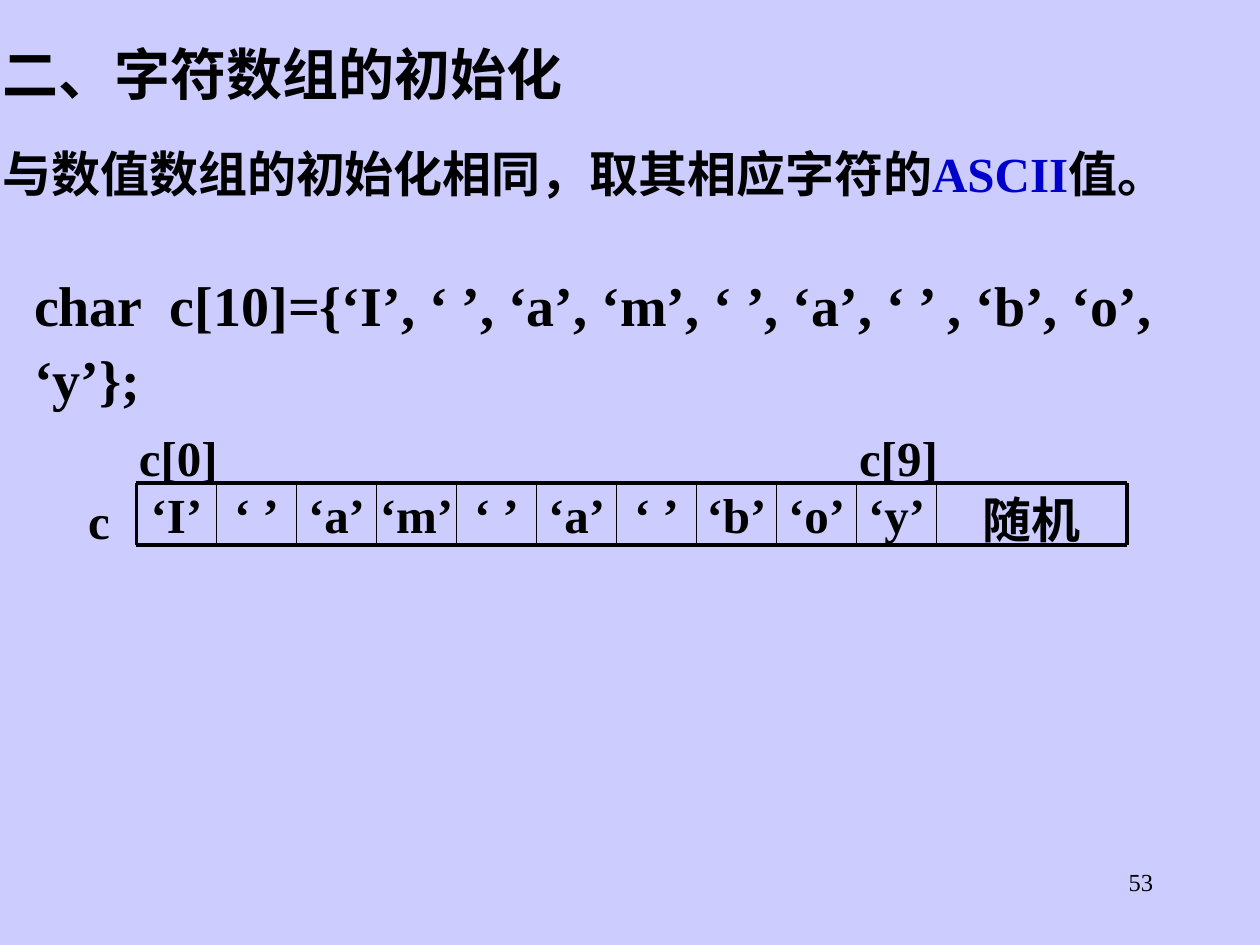
from lxml.etree import SubElement
from pptx import Presentation
from pptx.dml.color import RGBColor
from pptx.enum.shapes import MSO_CONNECTOR as Connector
from pptx.enum.text import MSO_ANCHOR as Anchor, MSO_AUTO_SIZE as AutoSize, PP_ALIGN as Align
from pptx.oxml.ns import qn
from pptx.util import Inches, Pt

BLACK = RGBColor(0x00, 0x00, 0x00)
BLUE = RGBColor(0x00, 0x00, 0xCC)
LAVENDER = RGBColor(0xCC, 0xCC, 0xFF)
FONT = "Times New Roman"

# The slide is a grid of 120 columns and 90 rows, twelve to the inch.
COLUMNS, ROWS = 120, 90
UNIT = Inches(1) // 12
CELL = 7.62
THICK, THIN = 2.25, 1
VALUES = ["‘I’", "‘ ’", "‘a’", "‘m’", "‘ ’", "‘a’", "‘ ’", "‘b’", "‘o’", "‘y’"]


def grid(*counts):
    """Turn grid counts into slide lengths."""
    return [round(count * UNIT) for count in counts]


def write(frame, *parts, size=28, bold=True, align=Align.LEFT, spacing=1.1,
          margins=(0.02, 0.01)):
    """Fill a text frame with one paragraph; a part is text or (text, colour)."""
    frame.word_wrap = True
    frame.margin_left = frame.margin_right = Inches(margins[0])
    frame.margin_top = frame.margin_bottom = Inches(margins[1])
    para = frame.paragraphs[0]
    para.alignment = align
    para.line_spacing = spacing
    para.space_before = Pt(0)
    for part in parts:
        text, color = part if isinstance(part, tuple) else (part, BLACK)
        span = para.add_run()
        span.text = text
        span.font.name = FONT
        span.font.size = Pt(size)
        span.font.bold = bold
        span.font.color.rgb = color


def add_text(page, box, *parts, **style):
    write(page.shapes.add_textbox(*grid(*box)).text_frame, *parts, **style)


def add_title(page, box, text):
    title = page.shapes.title
    title.left, title.top, title.width, title.height = grid(*box)
    frame = title.text_frame
    frame.auto_size = AutoSize.NONE
    frame.vertical_anchor = Anchor.TOP
    write(frame, text, size=32)


def add_line(page, start, end, weight):
    line = page.shapes.add_connector(Connector.STRAIGHT, *grid(*start, *end))
    line.line.color.rgb = BLACK
    line.line.width = Pt(weight)
    SubElement(line._element.spPr, qn("a:effectLst"))


def add_memory_row(page, box):
    """Draw the array elements and the wider random cell after them."""
    left, top, width, height = box
    right, bottom = left + width, top + height
    edges = [left + index * CELL for index in range(len(VALUES) + 1)] + [right]
    for text, start, end in zip(VALUES + ["随机"], edges, edges[1:]):
        spacing = Pt(34) if text in VALUES else Pt(36.5)
        add_text(page, (start, top, end - start, height), text,
                 align=Align.CENTER, spacing=spacing)
    for y in (top, bottom):
        add_line(page, (left, y), (right, y), THICK)
    for x in edges:
        add_line(page, (x, top), (x, bottom), THICK if x in (left, right) else THIN)


def add_array_diagram(page, box):
    """Place the name, the memory row and the labels of its end elements."""
    left, top = box[:2]
    add_memory_row(page, box)
    add_text(page, (left - 7, top, 4.7, 6.5), "c", align=Align.RIGHT)
    for index in (0, len(VALUES) - 1):
        add_text(page, (left + index * CELL, top - 6, 8.2, 6.5), f"c[{index}]")


def main():
    deck = Presentation()
    deck.slide_width, deck.slide_height = grid(COLUMNS, ROWS)
    page = deck.slides.add_slide(deck.slide_layouts[5])
    page.background.fill.solid()
    page.background.fill.fore_color.rgb = LAVENDER

    add_title(page, (0, 3, 105, 7.3), "二、字符数组的初始化")
    add_text(page, (0, 13, COLUMNS, 6.5),
             "与数值数组的初始化相同，取其相应字符的", ("ASCII", BLUE), "值。")
    add_text(page, (3, 25, COLUMNS - 3, 14.4),
             "char  c[10]={‘I’, ‘ ’, ‘a’, ‘m’, ‘ ’, ‘a’, ‘ ’ , ‘b’, ‘o’, ‘y’};",
             size=32)
    add_array_diagram(page, (13, 46, 94.3, 5.9))
    add_text(page, (86, 82, 25, 6), "53", size=14, bold=False,
             align=Align.RIGHT, spacing=1.0, margins=(0.1, 0.05))
    deck.save("out.pptx")


if __name__ == "__main__":
    main()
